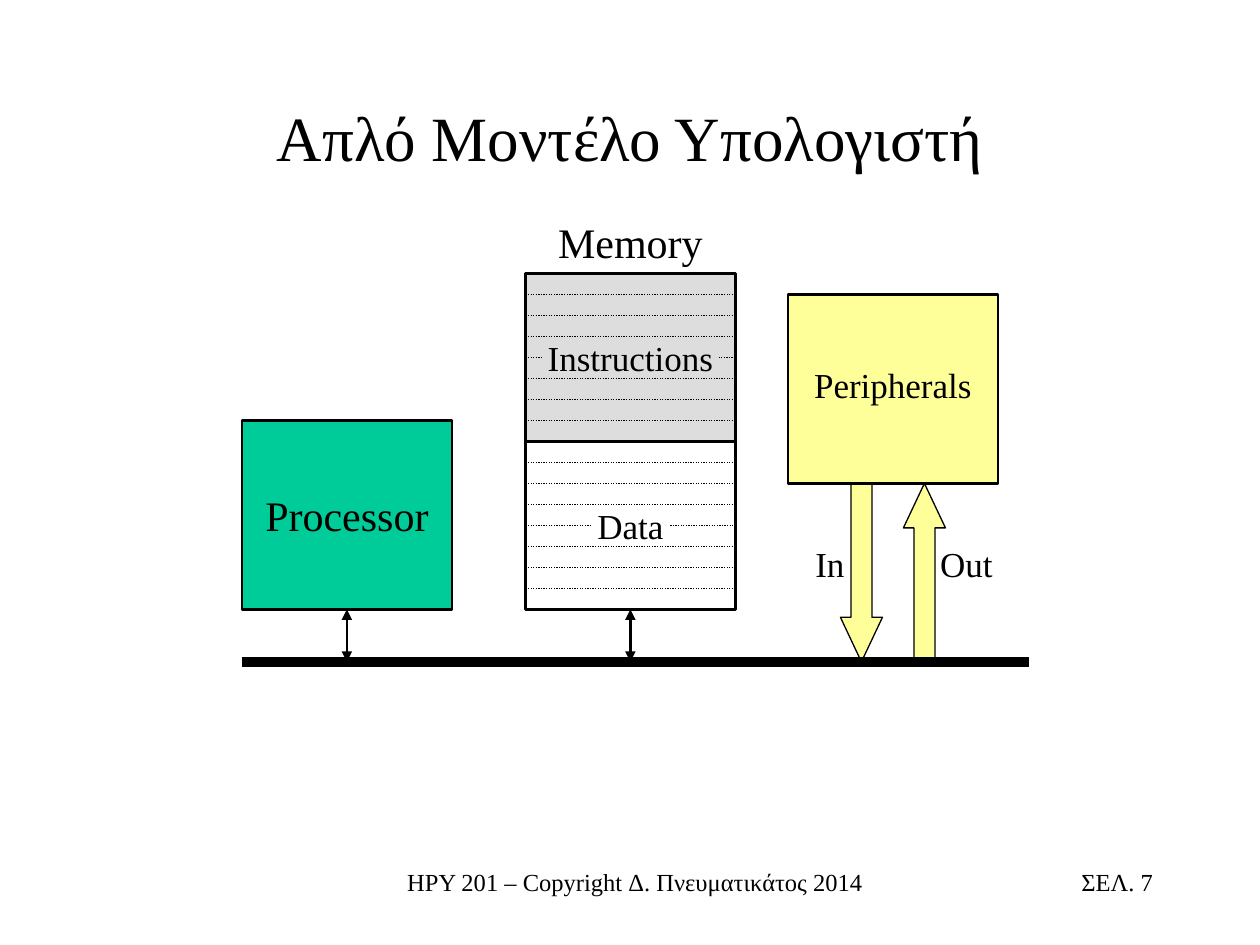
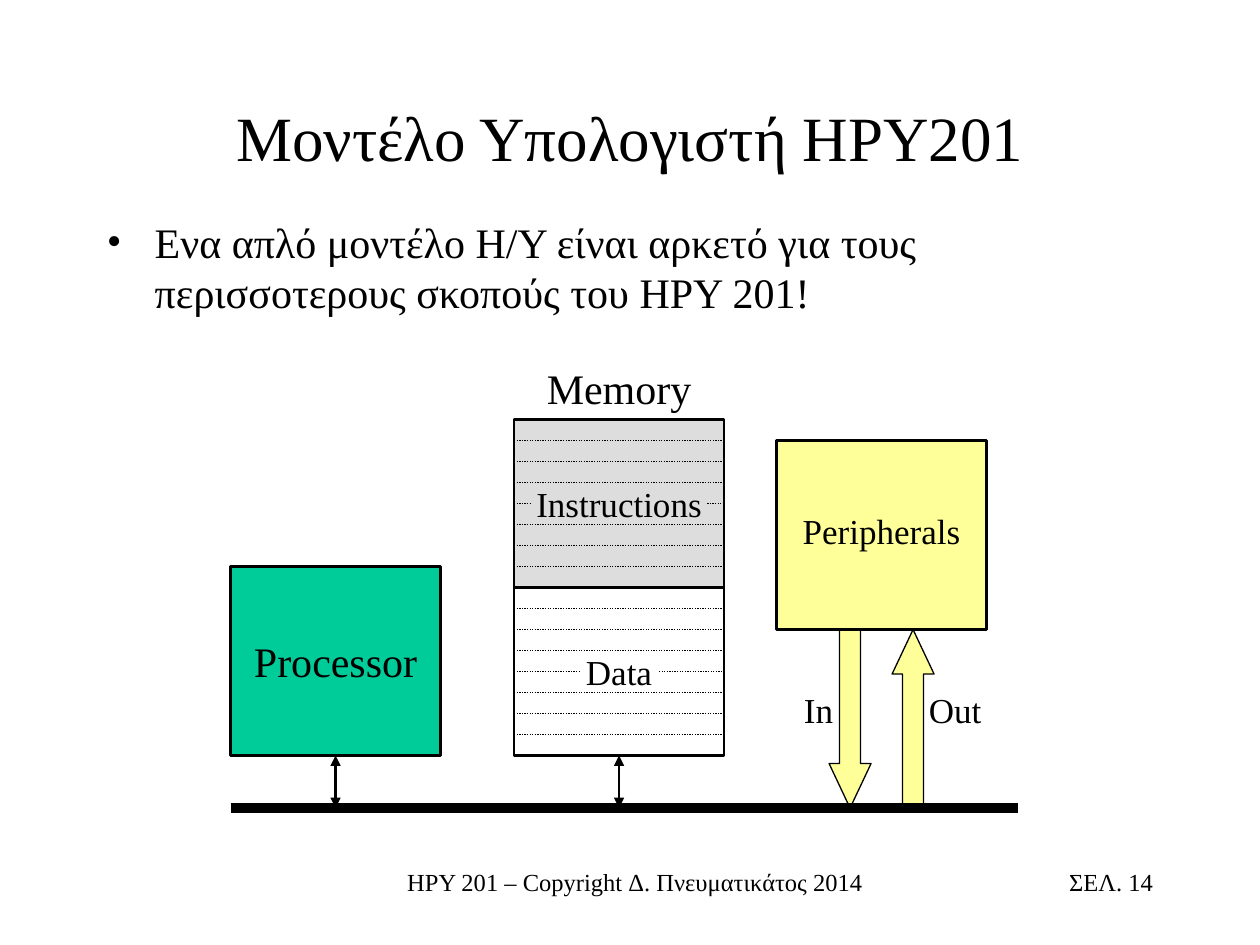
from dataclasses import dataclass

from lxml.etree import SubElement
from pptx import Presentation
from pptx.dml.color import RGBColor
from pptx.enum.dml import MSO_LINE
from pptx.enum.shapes import MSO_CONNECTOR, MSO_SHAPE
from pptx.enum.text import MSO_ANCHOR as Anchor, MSO_AUTO_SIZE as AutoSize, PP_ALIGN as Align
from pptx.oxml.ns import qn
from pptx.util import Inches, Pt


@dataclass(frozen=True)
class Theme:
    font: str = "Times New Roman"
    ink: RGBColor = RGBColor(0x00, 0x00, 0x00)
    processor: RGBColor = RGBColor(0x00, 0xCC, 0x99)
    instructions: RGBColor = RGBColor(0xDD, 0xDD, 0xDD)
    data: RGBColor = RGBColor(0xFF, 0xFF, 0xFF)
    peripherals: RGBColor = RGBColor(0xFF, 0xFF, 0x99)
    title_size: int = 36
    large_size: int = 24
    label_size: int = 20
    footer_size: int = 14
    outline: float = 1.5
    thin: float = 0.75
    bus: float = 6


THEME = Theme()
CELL = 1 / 6  # height of one memory row, in inches; the diagram's grid step
BLOCK_WIDTH, BLOCK_HEIGHT = 10, 9
MEMORY_ROWS = 8
FOOTER = "ΗΡΥ 201 – Copyright Δ. Πνευματικάτος 2014"


def add_text(shapes, text, box, size=THEME.label_size, align=Align.CENTER,
             anchor=Anchor.TOP, before=0, grow=False, bullet=None):
    frame = shapes.add_textbox(*map(Inches, box)).text_frame
    frame.word_wrap = True
    frame.vertical_anchor = anchor
    frame.auto_size = AutoSize.SHAPE_TO_FIT_TEXT if grow else AutoSize.NONE
    paragraph = frame.paragraphs[0]
    paragraph.alignment = align
    paragraph.space_before = Pt(before)
    run = paragraph.add_run()
    run.text = text
    run.font.name = THEME.font
    run.font.size = Pt(size)
    run.font.color.rgb = THEME.ink
    if bullet:
        properties = paragraph._p.get_or_add_pPr()
        properties.set("marL", str(Inches(0.38)))
        properties.set("indent", str(Inches(-0.38)))
        SubElement(properties, qn("a:buFont"), typeface=THEME.font)
        SubElement(properties, qn("a:buChar"), char=bullet)


class Diagram:
    """Grouped drawing measured in grid cells from its top left corner."""

    def __init__(self, slide, left, top):
        self.shapes = slide.shapes.add_group_shape().shapes
        self.left, self.top = left, top

    def place(self, x, y):
        return self.left + x * CELL, self.top + y * CELL

    def label(self, text, x, y, width, size=THEME.label_size):
        height = 0.5 if size == THEME.large_size else 0.44
        add_text(self.shapes, text, (*self.place(x, y), width * CELL, height),
                 size=size, before=size * 0.625, grow=True)

    def solid(self, kind, x, y, width, height, fill, weight=THEME.outline):
        box = (*self.place(x, y), width * CELL, height * CELL)
        shape = self.shapes.add_shape(kind, *map(Inches, box))
        shape.shadow.inherit = False
        shape.fill.solid()
        shape.fill.fore_color.rgb = fill
        shape.line.color.rgb = THEME.ink
        shape.line.width = Pt(weight)
        return shape

    def line(self, start, end, weight, dotted=False, arrows=False):
        ends = (*self.place(*start), *self.place(*end))
        connector = self.shapes.add_connector(MSO_CONNECTOR.STRAIGHT, *map(Inches, ends))
        connector.line.color.rgb = THEME.ink
        connector.line.width = Pt(weight)
        if dotted:
            connector.line.dash_style = MSO_LINE.ROUND_DOT
        if arrows:
            outline = connector.line._get_or_add_ln()
            for tip in ("a:headEnd", "a:tailEnd"):
                SubElement(outline, qn(tip), type="triangle")
        SubElement(connector._element.spPr, qn("a:effectLst"))


def draw_processor(diagram, x, y):
    diagram.solid(MSO_SHAPE.RECTANGLE, x, y, BLOCK_WIDTH, BLOCK_HEIGHT, THEME.processor)
    diagram.label("Processor", x, y + 3, BLOCK_WIDTH, size=THEME.large_size)


def draw_memory_half(diagram, text, x, y, fill, label_gap):
    """Draw the rows of one half; the middle row leaves label_gap cells for the text."""
    diagram.solid(MSO_SHAPE.RECTANGLE, x, y, BLOCK_WIDTH, MEMORY_ROWS, fill)
    right = x + BLOCK_WIDTH
    margin = (BLOCK_WIDTH - label_gap) / 2
    for row in range(1, MEMORY_ROWS):
        around_label = ((x, x + margin), (right - margin, right))
        spans = around_label if row == MEMORY_ROWS // 2 else ((x, right),)
        for start, end in spans:
            diagram.line((start, y + row), (end, y + row), THEME.thin, dotted=True)
    diagram.label(text, x, y + 2.7, BLOCK_WIDTH)


def draw_memory(diagram, x, y):
    draw_memory_half(diagram, "Data", x, y + MEMORY_ROWS, THEME.data, label_gap=3.8)
    draw_memory_half(diagram, "Instructions", x, y, THEME.instructions, label_gap=8.4)
    diagram.label("Memory", x, y - 3, BLOCK_WIDTH, size=THEME.large_size)


def draw_peripherals(diagram, x, y, bus_y):
    base = y + BLOCK_HEIGHT
    for kind, offset in ((MSO_SHAPE.UP_ARROW, 5.5), (MSO_SHAPE.DOWN_ARROW, 2.5)):
        arrow = diagram.solid(kind, x + offset, base, 2, bus_y - base,
                              THEME.peripherals, THEME.thin)
        arrow.adjustments[0] = 0.5
        arrow.adjustments[1] = 1.06
    diagram.solid(MSO_SHAPE.RECTANGLE, x, y, BLOCK_WIDTH, BLOCK_HEIGHT, THEME.peripherals)
    diagram.label("Peripherals", x, y + 3, BLOCK_WIDTH)
    diagram.label("In", x + 0.5, base + 2.5, 3)
    diagram.label("Out", x + 6.5, base + 2.5, 4)


def draw_computer(slide, left, top):
    """Draw the computer model; left is the processor's edge, top the memory's."""
    diagram = Diagram(slide, left, top)
    memory_x, floor, bus_y = 13.5, 2 * MEMORY_ROWS, 18.5
    for x in (0, memory_x):
        middle = x + BLOCK_WIDTH / 2
        diagram.line((middle, floor), (middle, bus_y), THEME.outline, arrows=True)
    draw_processor(diagram, 0, floor - BLOCK_HEIGHT)
    draw_memory(diagram, memory_x, 0)
    draw_peripherals(diagram, 26, 1, bus_y)
    diagram.line((0, bus_y), (37.5, bus_y), THEME.bus)


def add_page(deck, title, number):
    """Add a slide with the shared title and footers."""
    slide = deck.slides.add_slide(deck.slide_layouts[6])
    add_text(slide.shapes, FOOTER, (3, 6.83, 4.08, 0.5), size=THEME.footer_size)
    add_text(slide.shapes, f"ΣΕΛ. {number}", (7.17, 6.83, 2.08, 0.5),
             size=THEME.footer_size, align=Align.RIGHT)
    add_text(slide.shapes, title, (0.75, 0.67, 8.5, 0.83),
             size=THEME.title_size, anchor=Anchor.MIDDLE)
    return slide


def main():
    deck = Presentation()
    deck.slide_width, deck.slide_height = Inches(10), Inches(7.5)

    simple_model = add_page(deck, "Απλό Μοντέλο Υπολογιστή", 7)
    draw_computer(simple_model, 1.92, 2.17)

    course_model = add_page(deck, "Μοντέλο Υπολογιστή ΗΡΥ201", 14)
    add_text(course_model.shapes,
             "Ενα απλό μοντέλο Η/Υ είναι αρκετό για τους περισσοτερους σκοπούς του ΗΡΥ 201!",
             (0.75, 1.67, 8.5, 1), size=THEME.large_size, align=Align.LEFT,
             before=6, bullet="•")
    draw_computer(course_model, 1.83, 3.33)

    deck.save("out.pptx")


if __name__ == "__main__":
    main()
